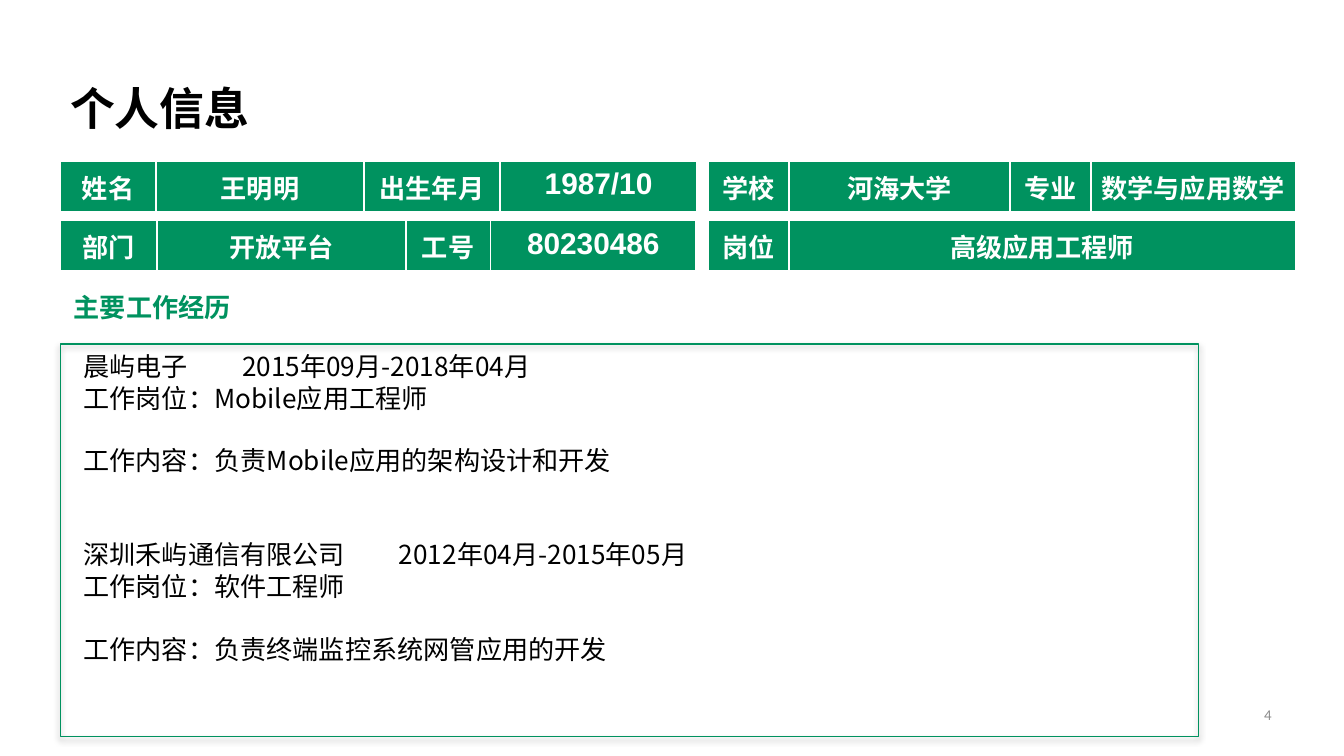
from dataclasses import dataclass

from lxml import etree
from pptx import Presentation
from pptx.dml.color import RGBColor
from pptx.enum.shapes import MSO_SHAPE
from pptx.enum.text import MSO_ANCHOR, PP_ALIGN
from pptx.oxml.ns import qn
from pptx.util import Pt

LEFT, CENTER, RIGHT = PP_ALIGN.LEFT, PP_ALIGN.CENTER, PP_ALIGN.RIGHT
TOP, MIDDLE = MSO_ANCHOR.TOP, MSO_ANCHOR.MIDDLE
RECTANGLE = MSO_SHAPE.RECTANGLE


@dataclass(frozen=True)
class Theme:
    green: str = "00925F"
    white: str = "FFFFFF"
    black: str = "000000"
    grey: str = "8C8C8C"
    chinese: str = "Noto Sans CJK SC"
    latin: str = "Arial"
    number: str = "Calibri"
    title_size: float = 24
    large_size: float = 16
    body_size: float = 14
    number_size: float = 8
    line_pitch: float = 16.8


THEME = Theme()
DEFAULT_INSETS = (7.2, 3.6, 7.2, 3.6)
CELL_INSET = 2
ROW_HEIGHT = 28.1
LEFT_TABLES, RIGHT_TABLES = 32.4, 379.4
FIRST_ROW, SECOND_ROW = 86.4, 118.1

# left, top, column widths, labels, size of the last cell
INFO_TABLES = [
    (LEFT_TABLES, FIRST_ROW, (51.1, 111.6, 72.7, 105.8),
     ("姓名", "王明明", "出生年月", "1987/10"), THEME.large_size),
    (LEFT_TABLES, SECOND_ROW, (51.8, 133.2, 45.4, 110.2),
     ("部门", "开放平台", "工号", "80230486"), THEME.large_size),
    (RIGHT_TABLES, FIRST_ROW, (43.2, 118.6, 43.2, 109.6),
     ("学校", "河海大学", "专业", "数学与应用数学"), THEME.body_size),
    (RIGHT_TABLES, SECOND_ROW, (43.2, 271.4),
     ("岗位", "高级应用工程师"), THEME.body_size),
]

# company, period, tab position of the period, post, duties
JOBS = [
    ("晨屿电子", "2015年09月-2018年04月", 85,
     "Mobile应用工程师", "负责Mobile应用的架构设计和开发"),
    ("深圳禾屿通信有限公司", "2012年04月-2015年05月", 169,
     "软件工程师", "负责终端监控系统网管应用的开发"),
]


def set_values(target, values):
    for name, value in values.items():
        setattr(target, name, value)


def add_xml(parent, tag, **attributes):
    return etree.SubElement(parent, qn(tag), attributes)


def write_paragraph(paragraph, text, size, color, font=THEME.chinese,
                    bold=False, align=LEFT):
    paragraph.alignment = align
    run = paragraph.add_run()
    run.text = text
    set_values(run.font, {"size": Pt(size), "name": font, "bold": bold})
    run.font.color.rgb = RGBColor.from_string(color)
    add_xml(run.font._element, "a:ea", typeface=THEME.chinese)


def add_text_frame(slide, left, top, width, height,
                   insets=DEFAULT_INSETS, anchor=TOP):
    box = slide.shapes.add_textbox(Pt(left), Pt(top), Pt(width), Pt(height))
    sides = ("margin_left", "margin_top", "margin_right", "margin_bottom")
    set_values(box.text_frame, {"word_wrap": True, "vertical_anchor": anchor,
                                **dict(zip(sides, map(Pt, insets)))})
    return box.text_frame


def add_cell_borders(cell):
    properties = cell._tc.get_or_add_tcPr()
    for side, width in (("L", 1), ("R", 1), ("T", 1), ("B", 3)):
        line = add_xml(properties, f"a:ln{side}", w=str(Pt(width)))
        add_xml(add_xml(line, "a:solidFill"), "a:srgbClr", val=THEME.white)


def add_info_table(slide, left, top, widths, labels, last_size):
    table = slide.shapes.add_table(
        1, len(widths), Pt(left), Pt(top), Pt(sum(widths)), Pt(ROW_HEIGHT)).table
    sizes = [THEME.body_size] * (len(labels) - 1) + [last_size]
    for index, (width, label, size) in enumerate(zip(widths, labels, sizes)):
        table.columns[index].width = Pt(width)
        cell = table.cell(0, index)
        add_cell_borders(cell)
        set_values(cell, {"margin_left": Pt(CELL_INSET),
                          "margin_right": Pt(CELL_INSET)})
        cell.fill.solid()
        cell.fill.fore_color.rgb = RGBColor.from_string(THEME.green)
        write_paragraph(cell.text_frame.paragraphs[0], label, size,
                        THEME.white, THEME.latin, True, CENTER)


def add_history_frame(slide):
    shape = slide.shapes.add_shape(
        RECTANGLE, Pt(LEFT_TABLES), Pt(184.3), Pt(609.8), Pt(210.2))
    shape.fill.background()
    shape.line.color.rgb = RGBColor.from_string(THEME.green)
    shape.line.width = Pt(0.75)
    shape.shadow.inherit = False
    effects = shape._element.spPr.find(qn("a:effectLst"))
    shadow = add_xml(effects, "a:outerShdw", blurRad=str(Pt(3.1)),
                     dist=str(Pt(1.8)), dir="5400000", rotWithShape="0")
    color = add_xml(shadow, "a:srgbClr", val=THEME.black)
    add_xml(color, "a:alpha", val="35000")


def add_tab_stop(paragraph, position):
    tabs = add_xml(paragraph._p.get_or_add_pPr(), "a:tabLst")
    add_xml(tabs, "a:tab", pos=str(Pt(position)), algn="l")


def add_job_history(slide):
    frame = add_text_frame(slide, 37.6, 184.3, 496.8, 175)
    for job, (company, period, tab, post, duties) in enumerate(JOBS):
        lines = [(f"{company}\t{period}", 2 * job),
                 (f"工作岗位：{post}", 0),
                 (f"工作内容：{duties}", 1)]
        for index, (text, lines_before) in enumerate(lines):
            first = job == index == 0
            paragraph = frame.paragraphs[0] if first else frame.add_paragraph()
            set_values(paragraph, {
                "line_spacing": Pt(THEME.line_pitch),
                "space_before": Pt(lines_before * THEME.line_pitch)})
            if index == 0:
                add_tab_stop(paragraph, tab)
            write_paragraph(paragraph, text, THEME.body_size, THEME.black)


def main():
    presentation = Presentation()
    set_values(presentation, {"slide_width": Pt(720), "slide_height": Pt(405)})
    slide = presentation.slides.add_slide(presentation.slide_layouts[6])

    number = add_text_frame(slide, 617.8, 374.4, 63.4, 17.3, (7.2, 3.6, 0, 3.6))
    write_paragraph(number.paragraphs[0], "4", THEME.number_size, THEME.grey,
                    THEME.number, align=RIGHT)
    title = add_text_frame(slide, 37.6, 39.6, 464.4, 36, (0, 0, 7.2, 0), MIDDLE)
    write_paragraph(title.paragraphs[0], "个人信息", THEME.title_size,
                    THEME.black, bold=True)

    add_history_frame(slide)
    heading = add_text_frame(slide, LEFT_TABLES, 152.6, 507.6, 24.5)
    write_paragraph(heading.paragraphs[0], "主要工作经历", THEME.body_size,
                    THEME.green, bold=True)
    add_job_history(slide)
    for info in INFO_TABLES:
        add_info_table(slide, *info)
    presentation.save("out.pptx")


if __name__ == "__main__":
    main()
